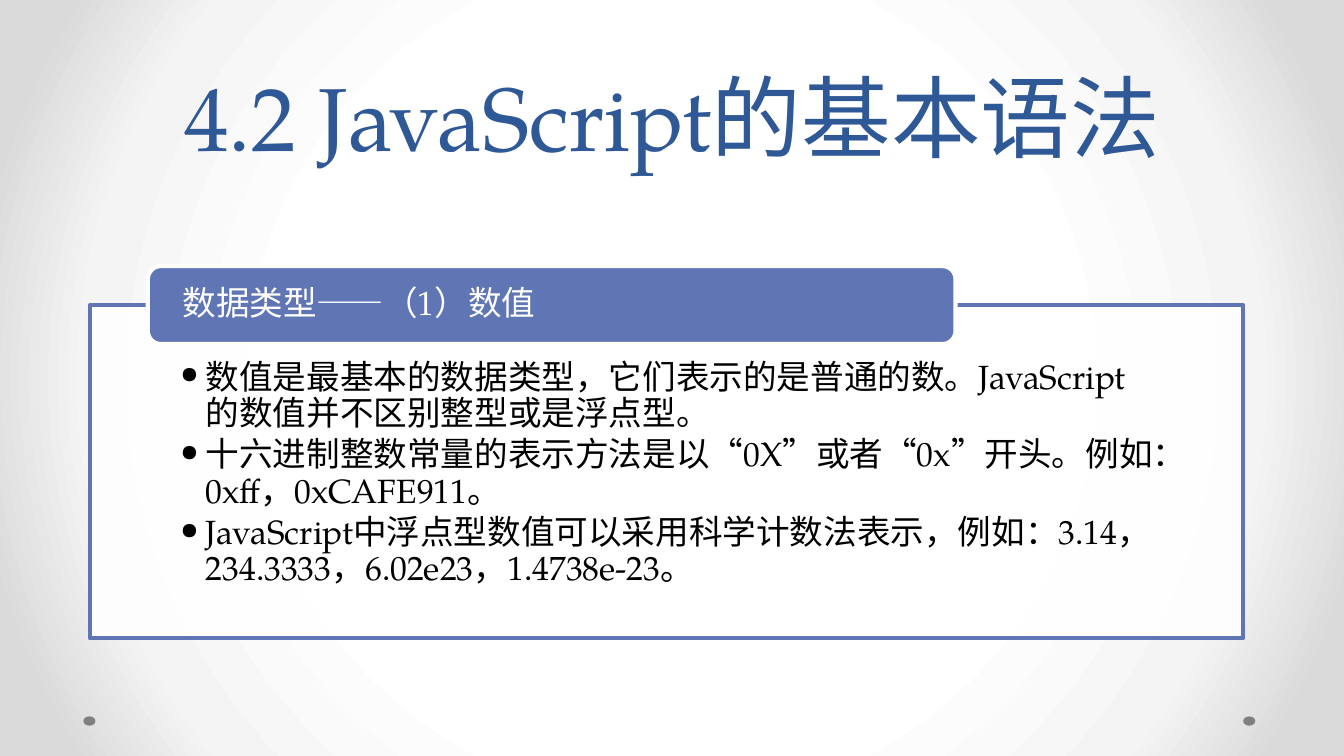
from pptx import Presentation
from pptx.dml.color import RGBColor
from pptx.enum.shapes import MSO_SHAPE
from pptx.enum.text import MSO_ANCHOR, PP_ALIGN
from pptx.oxml import parse_xml
from pptx.oxml.ns import nsdecls
from pptx.util import Inches, Pt
from lxml.etree import SubElement

WIDE = Inches(10)
HIGH = WIDE * 9 // 16
COL, ROW = WIDE / 100, HIGH / 100
FONT = "TeX Gyre Pagella"
HUES = {
    "title": "2F5897",
    "blue": "6076B4",
    "white": "FFFFFF",
    "black": "000000",
    "dot": "808080",
}
GLOW = {50: "FFFFFF", 76: "F4F4F4", 92: "DADADA"}
TITLE = "4.2 JavaScript的基本语法"
HEAD = "数据类型——（1）数值"
POINTS = [
    "数值是最基本的数据类型，它们表示的是普通的数。JavaScript的数值并不区别整型或是浮点型。",
    "十六进制整数常量的表示方法是以“0X”或者“0x”开头。例如：0xff，0xCAFE911。",
    "JavaScript中浮点型数值可以采用科学计数法表示，例如：3.14，234.3333，6.02e23，1.4738e-23。",
]


def hue(name):
    return RGBColor.from_string(HUES[name])


def place(col, row, cols, rows):
    return round(col * COL), round(row * ROW), round(cols * COL), round(rows * ROW)


def add_glow(slide):
    stops = "".join(
        f'<a:gs pos="{pos * 1000}"><a:srgbClr val="{tone}"/></a:gs>'
        for pos, tone in GLOW.items()
    )
    slide.element.cSld.insert(0, parse_xml(
        f'<p:bg {nsdecls("p", "a")}><p:bgPr><a:gradFill rotWithShape="1">'
        f'<a:gsLst>{stops}</a:gsLst><a:path path="circle">'
        '<a:fillToRect l="50000" t="50000" r="50000" b="50000"/></a:path>'
        '</a:gradFill><a:effectLst/></p:bgPr></p:bg>'
    ))


def add_box(slide, kind, box, fill, line=None, alpha=None):
    shape = slide.shapes.add_shape(kind, *place(*box))
    shape.shadow.inherit = False
    shape.fill.solid()
    shape.fill.fore_color.rgb = hue(fill)
    if alpha:
        tone = shape.fill._xPr.solidFill.srgbClr
        tone.append(parse_xml(f'<a:alpha {nsdecls("a")} val="{alpha * 1000}"/>'))
    if line:
        shape.line.color.rgb = hue(line)
        shape.line.width = Pt(2.25)
    else:
        shape.line.fill.background()
    return shape


def set_text(shape, lines, size, tone, space, after=0, align=PP_ALIGN.LEFT,
             anchor=MSO_ANCHOR.MIDDLE, pads=(0.1, 0.05, 0.1, 0.05)):
    frame = shape.text_frame
    frame.text = "\n".join(lines)
    frame.word_wrap = True
    frame.vertical_anchor = anchor
    (frame.margin_left, frame.margin_top,
     frame.margin_right, frame.margin_bottom) = map(Inches, pads)
    for para in frame.paragraphs:
        para.alignment = align
        para.line_spacing = space
        para.space_after = Pt(after)
        for run in para.runs:
            run.font.name = FONT
            run.font.size = Pt(size)
            run.font.color.rgb = hue(tone)


def add_marks(shape):
    for para in shape.text_frame.paragraphs:
        para.level = 1
        props = para._p.get_or_add_pPr()
        props.set("marL", str(Inches(0.19)))
        props.set("indent", str(-Inches(0.19)))
        space = props.nsmap["a"]
        SubElement(props, f"{{{space}}}buFont", typeface=FONT)
        SubElement(props, f"{{{space}}}buChar", char="•")


def main():
    deck = Presentation()
    deck.slide_width, deck.slide_height = WIDE, HIGH
    slide = deck.slides.add_slide(deck.slide_layouts[6])
    add_glow(slide)

    for col in (92.5, 6.2):
        add_box(slide, MSO_SHAPE.OVAL, (col, 94.76, 0.9, 1.24), "dot")

    title = slide.shapes.add_textbox(*place(5, 0, 90, 23.29))
    set_text(title, [TITLE], 48, "title", Pt(58),
             align=PP_ALIGN.CENTER, anchor=MSO_ANCHOR.BOTTOM)

    panel = add_box(slide, MSO_SHAPE.RECTANGLE, (6.7, 40.36, 85.8, 44.09),
                    "white", "blue", 90)
    set_text(panel, POINTS, 18, "black", 0.9, 2.7,
             anchor=MSO_ANCHOR.TOP, pads=(0.67, 0.41, 0.67, 0.14))
    add_marks(panel)

    tab = add_box(slide, MSO_SHAPE.ROUNDED_RECTANGLE, (11, 35.2, 60.1, 10.31),
                  "blue", "white")
    set_text(tab, [HEAD], 18, "white", 0.9, 6.3, pads=(0.23, 0, 0.23, 0))

    deck.save("out.pptx")


if __name__ == "__main__":
    main()
